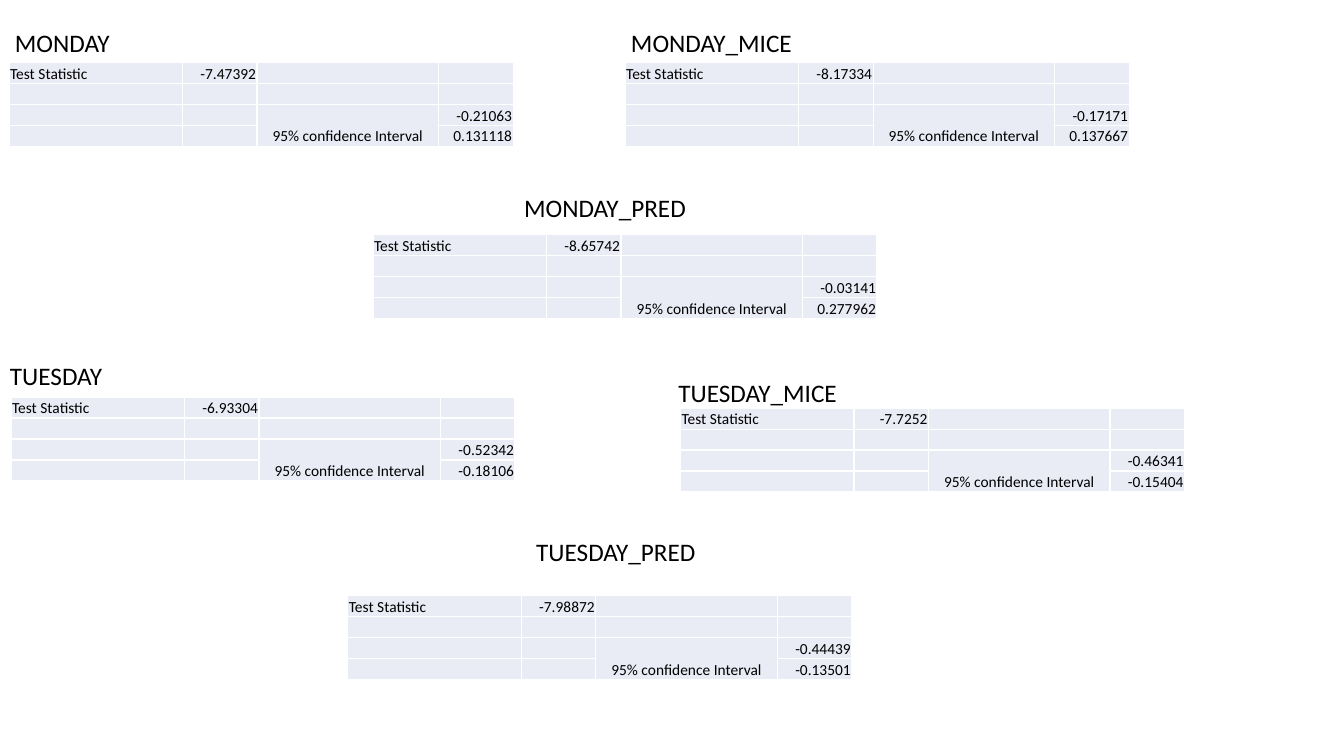
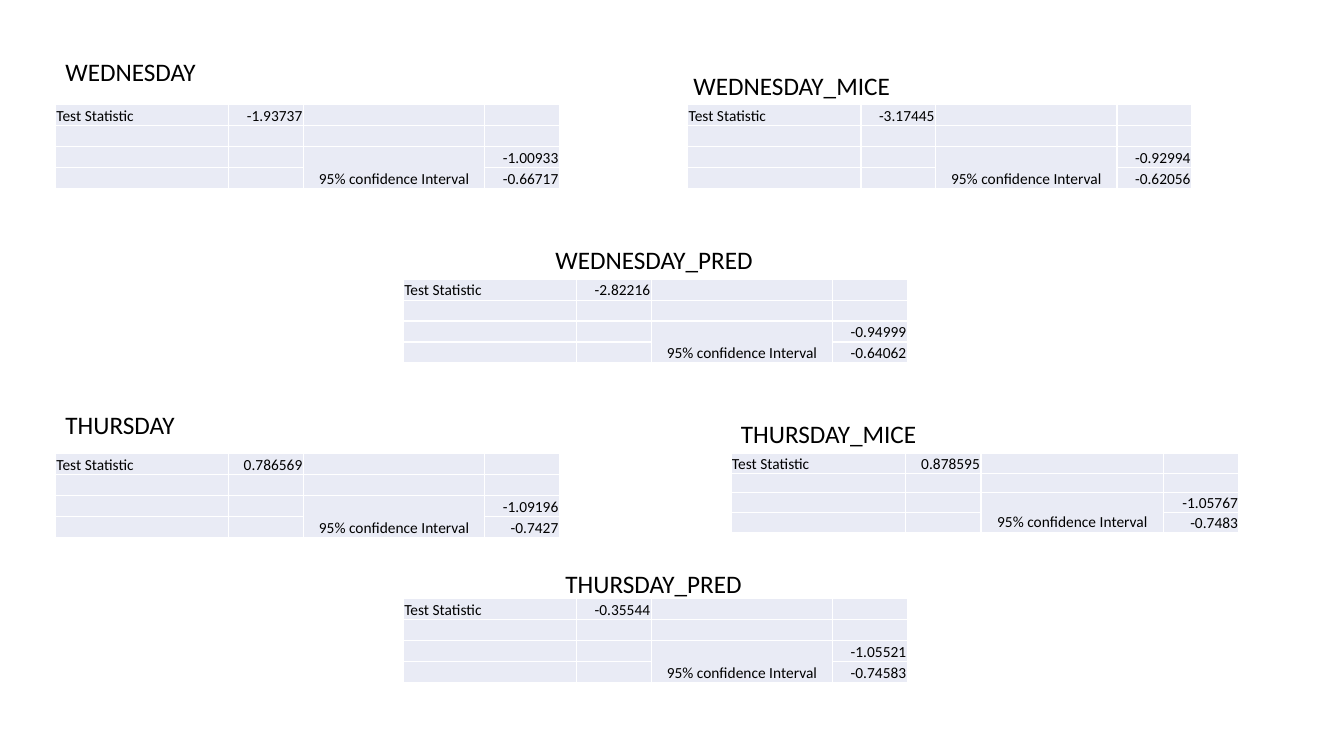
"""Builds two slides of test statistics and confidence intervals by weekday."""
from lxml.etree import SubElement
from pptx import Presentation
from pptx.dml.color import RGBColor
from pptx.enum.text import MSO_ANCHOR, MSO_AUTO_SIZE, PP_ALIGN
from pptx.oxml.ns import qn
from pptx.util import Inches, Pt

FONT = "Calibri"
BLACK = RGBColor(0x00, 0x00, 0x00)
WHITE = RGBColor(0xFF, 0xFF, 0xFF)
PALE_BLUE = RGBColor(0xE9, 0xEB, 0xF5)

LABEL_SIZE, CELL_SIZE = 18, 11
LABEL_HEIGHT = 0.4
ROWS = 4
COLUMN_SHARES = (0.344, 0.148, 0.36, 0.148)
TABLE_SIZE = (5, 0.83)
COMPACT_SIZE = (5.04, 0.78)

# Each block: label, label box (left, top, width), table corner, table size, statistic, interval
SLIDES = [
    [
        ("MONDAY", (0.05, 0.22, 1.15), (0.09, 0.62), TABLE_SIZE, "-7.47392", ("-0.21063", "0.131118")),
        ("MONDAY_MICE", (6.16, 0.22, 1.81), (6.2, 0.62), TABLE_SIZE, "-8.17334", ("-0.17171", "0.137667")),
        ("MONDAY_PRED", (5.1, 1.86, 1.82), (3.7, 2.33), TABLE_SIZE, "-8.65742", ("-0.03141", "0.277962")),
        ("TUESDAY", (0, 3.53, 1.12), (0.11, 3.94), TABLE_SIZE, "-6.93304", ("-0.52342", "-0.18106")),
        ("TUESDAY_MICE", (6.63, 3.69, 1.79), (6.75, 4.05), TABLE_SIZE, "-7.7252", ("-0.46341", "-0.15404")),
        ("TUESDAY_PRED", (5.22, 5.27, 1.8), (3.45, 5.91), TABLE_SIZE, "-7.98872", ("-0.44439", "-0.13501")),
    ],
    [
        ("WEDNESDAY", (0.55, 0.51, 1.51), (0.55, 1.04), TABLE_SIZE, "-1.93737", ("-1.00933", "-0.66717")),
        ("WEDNESDAY_MICE", (6.78, 0.65, 2.17), (6.82, 1.04), TABLE_SIZE, "-3.17445", ("-0.92994", "-0.62056")),
        ("WEDNESDAY_PRED", (5.41, 2.37, 2.18), (4, 2.77), TABLE_SIZE, "-2.82216", ("-0.94999", "-0.64062")),
        ("THURSDAY", (0.55, 4.01, 1.29), (0.55, 4.5), TABLE_SIZE, "0.786569", ("-1.09196", "-0.7427")),
        ("THURSDAY_MICE", (7.25, 4.1, 1.96), (7.25, 4.5), COMPACT_SIZE, "0.878595", ("-1.05767", "-0.7483")),
        ("THURSDAY_PRED", (5.51, 5.59, 1.97), (4, 5.94), TABLE_SIZE, "-0.35544", ("-1.05521", "-0.74583")),
    ],
]


def write(para, text, size=CELL_SIZE, align=PP_ALIGN.LEFT):
    para.alignment = align
    if not text:
        SubElement(para._p, qn("a:endParaRPr"), sz=str(size * 100))
        return
    span = para.add_run()
    span.text = text
    span.font.name = FONT
    span.font.size = Pt(size)
    span.font.color.rgb = BLACK


def add_label(page, text, left, top, width):
    box = page.shapes.add_textbox(*map(Inches, (left, top, width, LABEL_HEIGHT)))
    box.text_frame.word_wrap = False
    box.text_frame.auto_size = MSO_AUTO_SIZE.SHAPE_TO_FIT_TEXT
    write(box.text_frame.paragraphs[0], text, size=LABEL_SIZE)


def format_cell(cell):
    cell.margin_left = cell.margin_right = cell.margin_top = Inches(0.01)
    cell.margin_bottom = 0
    cell.vertical_anchor = MSO_ANCHOR.BOTTOM
    properties = cell._tc.get_or_add_tcPr()
    for side in ("L", "R", "T", "B"):
        line = SubElement(properties, qn(f"a:ln{side}"), w=str(Pt(1)))
        fill = SubElement(line, qn("a:solidFill"))
        SubElement(fill, qn("a:srgbClr"), val=str(WHITE))
    cell.fill.solid()
    cell.fill.fore_color.rgb = PALE_BLUE


def add_statistics(page, corner, size, statistic, interval):
    low, high = interval
    contents = {
        (0, 0): ("Test Statistic", PP_ALIGN.LEFT),
        (0, 1): (statistic, PP_ALIGN.RIGHT),
        (2, 2): ("95% confidence Interval", PP_ALIGN.CENTER),
        (2, 3): (low, PP_ALIGN.RIGHT),
        (3, 3): (high, PP_ALIGN.RIGHT),
    }
    width, height = size
    frame = page.shapes.add_table(ROWS, len(COLUMN_SHARES), *map(Inches, corner + size))
    table = frame.table
    table.first_row = table.horz_banding = False
    for column, share in zip(table.columns, COLUMN_SHARES):
        column.width = Inches(width * share)
    for row_index, row in enumerate(table.rows):
        row.height = Inches(height / ROWS)
        for column_index, cell in enumerate(row.cells):
            format_cell(cell)
            text, align = contents.get((row_index, column_index), ("", PP_ALIGN.LEFT))
            write(cell.text_frame.paragraphs[0], text, align=align)
    table.cell(2, 2).merge(table.cell(3, 2))


def main():
    deck = Presentation()
    deck.slide_width, deck.slide_height = Inches(13.33), Inches(7.5)
    for blocks in SLIDES:
        page = deck.slides.add_slide(deck.slide_layouts[6])
        for label, label_box, corner, size, statistic, interval in blocks:
            add_label(page, label, *label_box)
            add_statistics(page, corner, size, statistic, interval)
    deck.save("out.pptx")


if __name__ == "__main__":
    main()
